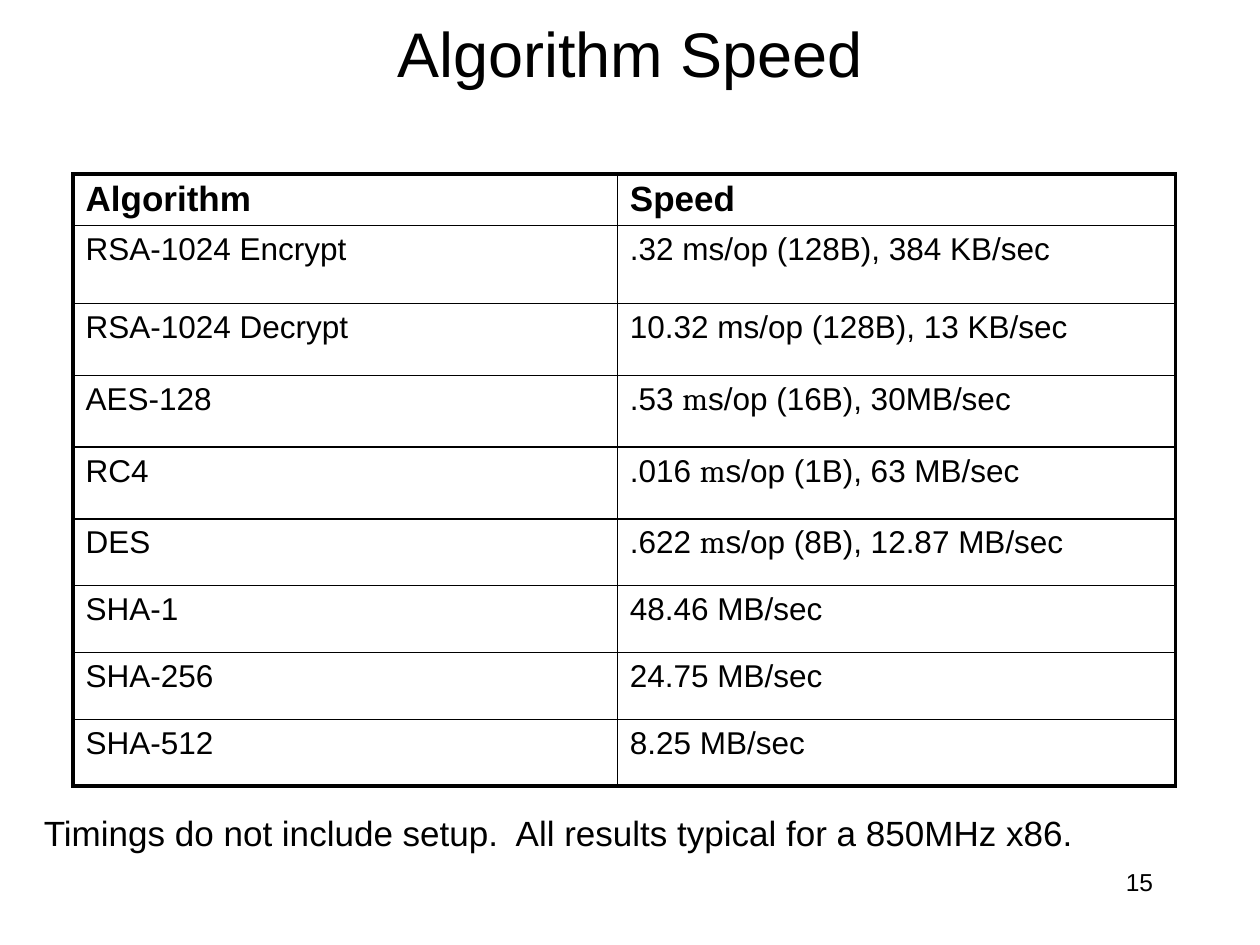
"""Build the Algorithm Speed slide with a bordered table of cipher and hash timings."""
import pptx
import pptx.dml.color
import pptx.enum.text
import pptx.oxml.ns
import pptx.util
from lxml import etree

Inches = pptx.util.Inches
Pt = pptx.util.Pt
ALIGN = pptx.enum.text.PP_ALIGN
ANCHOR = pptx.enum.text.MSO_ANCHOR

BLACK = pptx.dml.color.RGBColor(0, 0, 0)
TEXT_FONT = "Arial"
UNIT_FONT = "Cambria"
THIN, THICK = 1, 2.25

TITLE = "Algorithm Speed"
CAPTION = "Timings do not include setup.  All results typical for a 850MHz x86."
PAGE_NUMBER = "15"
ROWS = [
    ("Algorithm", "Speed"),
    ("RSA-1024 Encrypt", ".32 ms/op (128B), 384 KB/sec"),
    ("RSA-1024 Decrypt", "10.32 ms/op (128B), 13 KB/sec"),
    ("AES-128", (".53 ", "m", "s/op (16B), 30MB/sec")),
    ("RC4", (".016 ", "m", "s/op (1B), 63 MB/sec")),
    ("DES", (".622 ", "m", "s/op (8B), 12.87 MB/sec")),
    ("SHA-1", "48.46 MB/sec"),
    ("SHA-256", "24.75 MB/sec"),
    ("SHA-512", "8.25 MB/sec"),
]
COLUMN_WIDTHS = [4.32, 4.43]
ROW_HEIGHTS = [0.41, 0.62] + [0.57] * 3 + [0.53] * 4


def write_text(text_frame, text, size, bold=False, align=ALIGN.LEFT, anchor=ANCHOR.TOP):
    """Write a string, or a tuple of runs whose lone unit prefix has its own font."""
    text_frame.word_wrap = True
    text_frame.vertical_anchor = anchor
    paragraph = text_frame.paragraphs[0]
    paragraph.alignment = align
    paragraph.space_before = Pt(0)
    for part in (text,) if isinstance(text, str) else text:
        run = paragraph.add_run()
        run.text = part
        run.font.name = UNIT_FONT if part == "m" else TEXT_FONT
        run.font.size = Pt(size)
        run.font.bold = bold
        run.font.color.rgb = BLACK


def add_border(cell, side, width):
    """Draw one side of a table cell."""
    qn = pptx.oxml.ns.qn
    properties = cell._tc.get_or_add_tcPr()
    line = etree.SubElement(properties, qn(f"a:ln{side}"), w=str(Pt(width)))
    fill = etree.SubElement(line, qn("a:solidFill"))
    etree.SubElement(fill, qn("a:srgbClr"), val=str(BLACK))


def add_speed_table(slide):
    """Add the table with a thick frame and thin inner lines."""
    row_count, column_count = len(ROWS), len(COLUMN_WIDTHS)
    table = slide.shapes.add_table(
        row_count, column_count, Inches(0.58), Inches(1.38),
        Inches(sum(COLUMN_WIDTHS)), Inches(sum(ROW_HEIGHTS))).table
    table.first_row = table.horz_banding = False
    for column, width in zip(table.columns, COLUMN_WIDTHS):
        column.width = Inches(width)
    for row_index, (texts, height) in enumerate(zip(ROWS, ROW_HEIGHTS)):
        table.rows[row_index].height = Inches(height)
        header = row_index == 0
        for column_index, text in enumerate(texts):
            cell = table.cell(row_index, column_index)
            write_text(cell.text_frame, text, size=20 if header else 18, bold=header)
            outer_sides = {
                "L": column_index == 0,
                "R": column_index == column_count - 1,
                "T": header,
                "B": row_index == row_count - 1,
            }
            for side, outer in outer_sides.items():
                add_border(cell, side, THICK if outer else THIN)
            cell.fill.background()


def main():
    presentation = pptx.Presentation()
    presentation.slide_width, presentation.slide_height = Inches(10), Inches(7.5)
    slide = presentation.slides.add_slide(presentation.slide_layouts[5])

    title = slide.shapes.title
    title.left, title.top = Inches(0.75), Inches(0.08)
    title.width, title.height = Inches(8.5), Inches(0.67)
    write_text(title.text_frame, TITLE, size=36, align=ALIGN.CENTER, anchor=ANCHOR.MIDDLE)

    add_speed_table(slide)

    caption = slide.shapes.add_textbox(Inches(0.25), Inches(6.39), Inches(9.5), Inches(0.61))
    write_text(caption.text_frame, CAPTION, size=20)
    page_number = slide.shapes.add_textbox(Inches(7.17), Inches(6.83), Inches(2.08), Inches(0.5))
    write_text(page_number.text_frame, PAGE_NUMBER, size=14, align=ALIGN.RIGHT)

    presentation.save("out.pptx")


if __name__ == "__main__":
    main()
